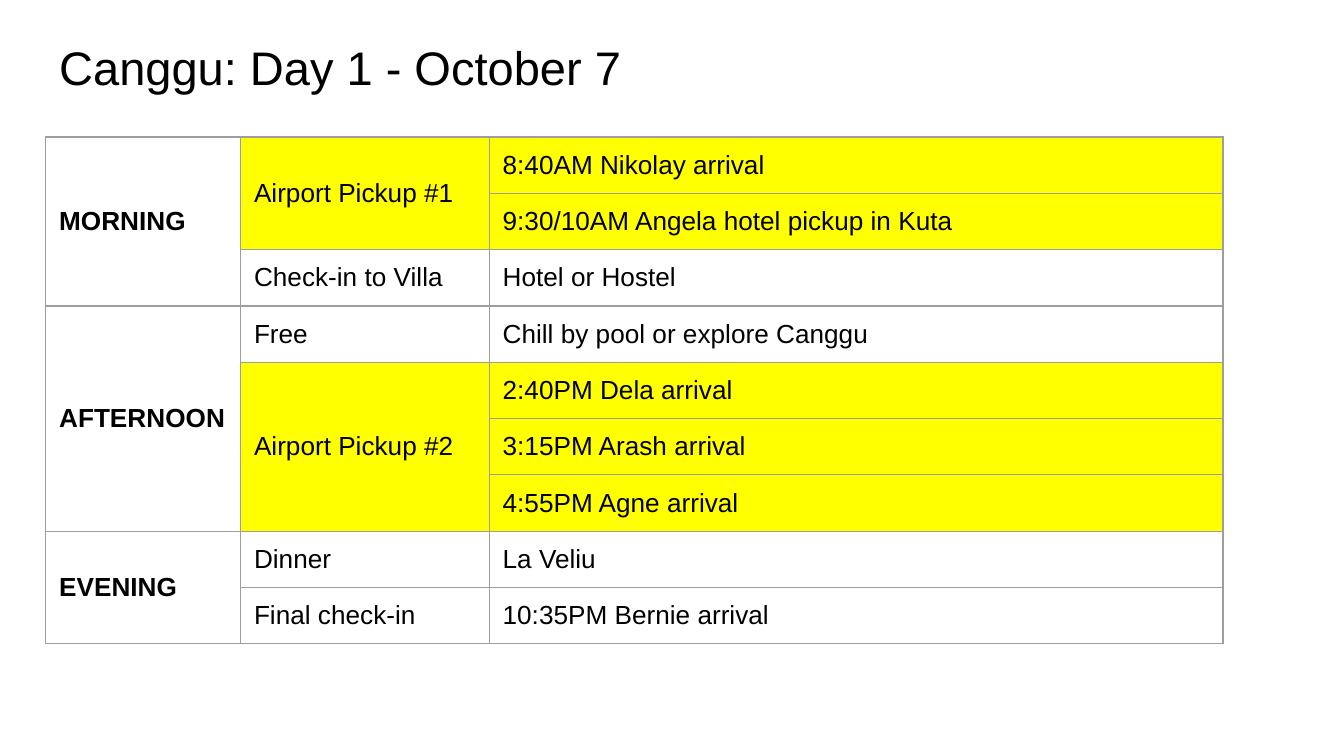
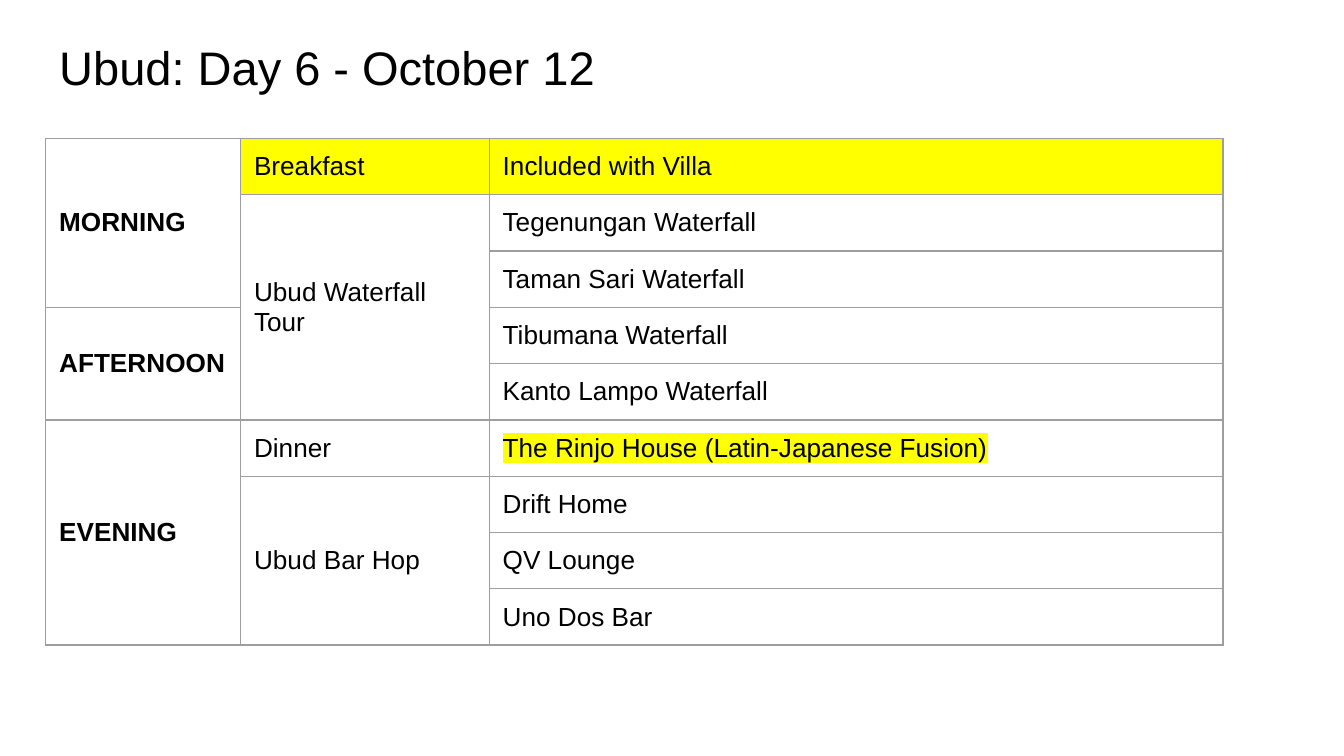
from dataclasses import dataclass

from lxml.etree import SubElement
from pptx import Presentation
from pptx.dml.color import RGBColor
from pptx.enum.text import MSO_ANCHOR, MSO_AUTO_SIZE, PP_ALIGN
from pptx.oxml.ns import qn
from pptx.util import Inches, Pt


@dataclass(frozen=True)
class Theme:
    font: str = "Arial"
    text: str = "000000"
    marked: str = "FFFF00"
    border: str = "9E9E9E"
    border_pt: float = 0.75
    title_pt: float = 25.2
    cell_pt: float = 14
    inset: float = 0.1


THEME = Theme()
SLIDE_WIDTH = Inches(10)
SLIDE_HEIGHT = SLIDE_WIDTH * 9 // 16
TITLE_BOX = (0.34, 0.18, 9.32, 0.63)
TABLE_LEFT = 0.34
COLUMN_WIDTHS = (1.45, 1.85, 5.46)
ROW_HEIGHT = 0.41

# Each column lists (text, rows spanned, mark); mark is "", "cell" or "text".
DAYS = [
    {
        "title": "Canggu: Day 1 - October 7",
        "top": 1.02,
        "columns": [
            [("MORNING", 3, ""), ("AFTERNOON", 4, ""), ("EVENING", 2, "")],
            [
                ("Airport Pickup #1", 2, "cell"),
                ("Check-in to Villa", 1, ""),
                ("Free", 1, ""),
                ("Airport Pickup #2", 3, "cell"),
                ("Dinner", 1, ""),
                ("Final check-in", 1, ""),
            ],
            [
                ("8:40AM Nikolay arrival", 1, "cell"),
                ("9:30/10AM Angela hotel pickup in Kuta", 1, "cell"),
                ("Hotel or Hostel", 1, ""),
                ("Chill by pool or explore Canggu", 1, ""),
                ("2:40PM Dela arrival", 1, "cell"),
                ("3:15PM Arash arrival", 1, "cell"),
                ("4:55PM Agne arrival", 1, "cell"),
                ("La Veliu", 1, ""),
                ("10:35PM Bernie arrival", 1, ""),
            ],
        ],
    },
    {
        "title": "Ubud: Day 6 - October 12",
        "top": 1.03,
        "columns": [
            [("MORNING", 3, ""), ("AFTERNOON", 2, ""), ("EVENING", 4, "")],
            [
                ("Breakfast", 1, "cell"),
                ("Ubud Waterfall Tour", 4, ""),
                ("Dinner", 1, ""),
                ("Ubud Bar Hop", 3, ""),
            ],
            [
                ("Included with Villa", 1, "cell"),
                ("Tegenungan Waterfall", 1, ""),
                ("Taman Sari Waterfall", 1, ""),
                ("Tibumana Waterfall", 1, ""),
                ("Kanto Lampo Waterfall", 1, ""),
                ("The Rinjo House (Latin-Japanese Fusion)", 1, "text"),
                ("Drift Home", 1, ""),
                ("QV Lounge", 1, ""),
                ("Uno Dos Bar", 1, ""),
            ],
        ],
    },
]


def add_run(p, text, size, bold=False):
    r = p.add_run()
    r.text = text
    r.font.name = THEME.font
    r.font.size = Pt(size)
    r.font.bold = bold
    r.font.color.rgb = RGBColor.from_string(THEME.text)
    return r


def set_insets(target):
    """Give a text frame or a table cell the same inset on every side."""
    for side in ("left", "top", "right", "bottom"):
        setattr(target, f"margin_{side}", Inches(THEME.inset))


def highlight(r):
    props = r.font._element
    mark = SubElement(props, qn("a:highlight"))
    SubElement(mark, qn("a:srgbClr"), val=THEME.marked)
    props.find(qn("a:solidFill")).addnext(mark)


def set_borders(cell):
    props = cell._tc.get_or_add_tcPr()
    for index, side in enumerate(("lnL", "lnR", "lnT", "lnB")):
        line = SubElement(props, qn(f"a:{side}"), w=str(Pt(THEME.border_pt)))
        fill = SubElement(line, qn("a:solidFill"))
        SubElement(fill, qn("a:srgbClr"), val=THEME.border)
        props.insert(index, line)


def style_cell(cell, filled):
    set_borders(cell)
    set_insets(cell)
    cell.vertical_anchor = MSO_ANCHOR.MIDDLE
    if filled:
        cell.fill.solid()
        cell.fill.fore_color.rgb = RGBColor.from_string(THEME.marked)
    else:
        cell.fill.background()


def add_title(s, text):
    title = s.shapes.title
    title.left, title.top, title.width, title.height = map(Inches, TITLE_BOX)
    tf = title.text_frame
    tf.auto_size = MSO_AUTO_SIZE.NONE
    tf.word_wrap = True
    tf.vertical_anchor = MSO_ANCHOR.BOTTOM
    set_insets(tf)
    p = tf.paragraphs[0]
    p.alignment = PP_ALIGN.LEFT
    add_run(p, text, THEME.title_pt)


def add_schedule(s, top, columns):
    row_count = sum(span for _, span, _ in columns[0])
    table = s.shapes.add_table(
        row_count, len(columns), Inches(TABLE_LEFT), Inches(top),
        Inches(sum(COLUMN_WIDTHS)), Inches(ROW_HEIGHT * row_count),
    ).table
    table.first_row = table.horz_banding = False
    for column, width in zip(table.columns, COLUMN_WIDTHS):
        column.width = Inches(width)
    for row in table.rows:
        row.height = Inches(ROW_HEIGHT)

    for col, entries in enumerate(columns):
        row = 0
        for text, span, mark in entries:
            for covered in range(row, row + span):
                style_cell(table.cell(covered, col), mark == "cell")
            cell = table.cell(row, col)
            if span > 1:
                cell.merge(table.cell(row + span - 1, col))
            p = cell.text_frame.paragraphs[0]
            r = add_run(p, text, THEME.cell_pt, bold=col == 0)
            if mark == "text":
                highlight(r)
            row += span


def main():
    prs = Presentation()
    prs.slide_width, prs.slide_height = SLIDE_WIDTH, SLIDE_HEIGHT
    title_only = prs.slide_layouts[5]
    for day in DAYS:
        s = prs.slides.add_slide(title_only)
        add_title(s, day["title"])
        add_schedule(s, day["top"], day["columns"])
    prs.save("out.pptx")


if __name__ == "__main__":
    main()
